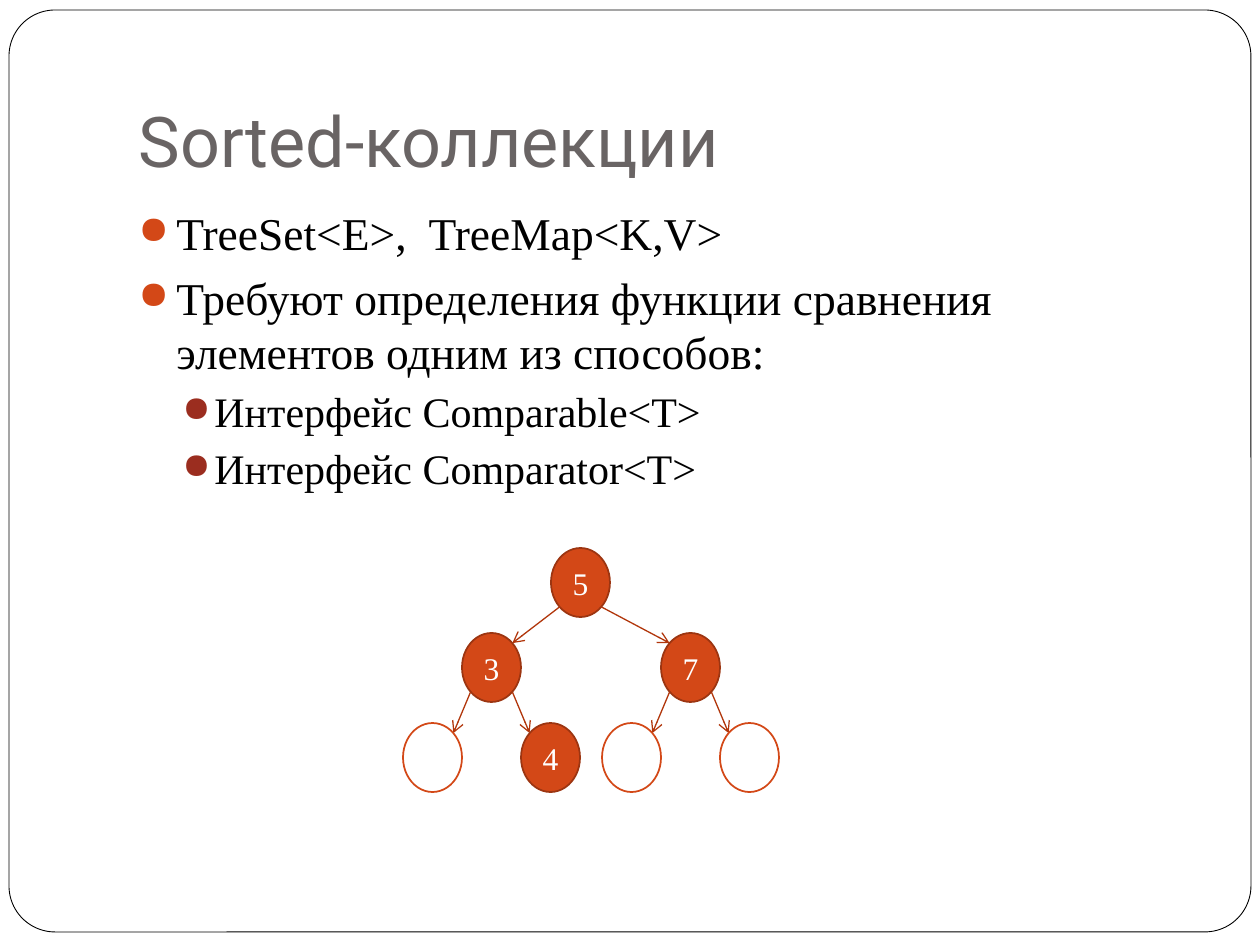
from dataclasses import dataclass
from math import sqrt
from lxml.etree import SubElement
from pptx import Presentation
from pptx.dml.color import RGBColor
from pptx.enum.shapes import MSO_CONNECTOR, MSO_SHAPE
from pptx.enum.text import MSO_ANCHOR, MSO_AUTO_SIZE, PP_ALIGN
from pptx.oxml.ns import qn
from pptx.util import Pt

SCALE = 914400 / 126


@dataclass(frozen=True)
class Theme:
    paper: str = "FFFFFF"
    ink: str = "000000"
    head: str = "696464"
    main: str = "D34817"
    edge: str = "9C3511"
    link: str = "B1360B"
    sub: str = "9B2D1F"
    sans: str = "Roboto"
    serif: str = "Times New Roman"
    title: int = 40
    body: tuple = (26, 24)
    node: int = 18


theme = Theme()
LEVELS = (
    {"left": 38, "hang": 38, "gap": 5.8, "tint": theme.main},
    {"left": 76, "hang": 32, "gap": 3.7, "tint": theme.sub},
)
POINTS = (
    (0, "TreeSet<E>,  TreeMap<K,V>"),
    (0, "Требуют определения функции сравнения элементов одним из способов:"),
    (1, "Интерфейс Comparable<T>"),
    (1, "Интерфейс Comparator<T>"),
)
TREE = ("5", (-89, ("3", (-59, ("", )), (59, ("4", )))),
        (110, ("7", (-59, ("", )), (59, ("", )))))
NODE = (59, 69)
RISES = (85, 90)


def emu(px):
    return round(px * SCALE)


def put(item, **values):
    for name, value in values.items():
        setattr(item, name, value)


def style(font, face, size, tint):
    put(font, name=face, size=Pt(size))
    font.color.rgb = RGBColor.from_string(tint)


def place(item, box):
    put(item, **dict(zip(("left", "top", "width", "height"), map(emu, box))))


def shape(slide, kind, box, fill, line, width):
    item = slide.shapes.add_shape(kind, *map(emu, box))
    item.shadow.inherit = False
    item.fill.solid()
    item.fill.fore_color.rgb = RGBColor.from_string(fill)
    item.line.color.rgb = RGBColor.from_string(line)
    item.line.width = Pt(width)
    return item


def frame(slide, box):
    item = shape(slide, MSO_SHAPE.ROUNDED_RECTANGLE, box, theme.paper, theme.ink, 0.5)
    item.adjustments[0] = 0.05
    slide.shapes.title.element.addprevious(item.element)


def header(slide, box):
    title = slide.shapes.title
    place(title, box)
    text = title.text_frame
    put(text, text="Sorted-коллекции", word_wrap=True, auto_size=MSO_AUTO_SIZE.NONE,
        vertical_anchor=MSO_ANCHOR.BOTTOM, margin_left=emu(13), margin_right=emu(13),
        margin_top=emu(6), margin_bottom=emu(13))
    para = text.paragraphs[0]
    para.alignment = PP_ALIGN.LEFT
    style(para.runs[0].font, theme.sans, theme.title, theme.head)


def bullet(para, left, hang, tint):
    props = para._p.get_or_add_pPr()
    props.set("marL", str(emu(left)))
    props.set("indent", str(-emu(hang)))
    SubElement(SubElement(props, qn("a:buClr")), qn("a:srgbClr"), val=tint)
    SubElement(props, qn("a:buSzPct"), val="85000")
    SubElement(props, qn("a:buChar"), char="●")


def points(slide, box):
    text = slide.shapes.add_textbox(*map(emu, box)).text_frame
    text.word_wrap = True
    for index, (level, words) in enumerate(POINTS):
        para = text.add_paragraph() if index else text.paragraphs[0]
        rule = LEVELS[level]
        put(para, level=level, space_before=Pt(rule["gap"]))
        bullet(para, rule["left"], rule["hang"], rule["tint"])
        run = para.add_run()
        run.text = words
        style(run.font, theme.serif, theme.body[level], theme.ink)


def arrow(slide, start, end):
    item = slide.shapes.add_connector(MSO_CONNECTOR.STRAIGHT, *map(emu, start + end))
    item.line.color.rgb = RGBColor.from_string(theme.link)
    item.line.width = Pt(0.75)
    SubElement(item.line._get_or_add_ln(), qn("a:tailEnd"), type="arrow")
    SubElement(item.element.spPr, qn("a:effectLst"))


def node(slide, box, words):
    fill, edge = (theme.main, theme.edge) if words else (theme.paper, theme.main)
    item = shape(slide, MSO_SHAPE.OVAL, box, fill, edge, 1)
    if words:
        text = item.text_frame
        put(text, text=words, vertical_anchor=MSO_ANCHOR.MIDDLE)
        para = text.paragraphs[0]
        para.alignment = PP_ALIGN.CENTER
        style(para.runs[0].font, theme.serif, theme.node, theme.paper)


def tree(slide, left, top, branch, depth=0):
    words, *kids = branch
    wide, high = NODE
    node(slide, (left, top, wide, high), words)
    dx, dy = wide / sqrt(8), high / sqrt(8)
    for shift, kid in kids:
        side = 1 if shift > 0 else -1
        x, y = left + shift, top + RISES[depth]
        arrow(slide, (left + wide / 2 + side * dx, top + high / 2 + dy),
              (x + wide / 2 - side * dx, y + high / 2 - dy))
        tree(slide, x, y, kid, depth + 1)


def build():
    deck = Presentation()
    put(deck, slide_width=emu(1260), slide_height=emu(945))
    slide = deck.slides.add_slide(deck.slide_layouts[5])
    frame(slide, (9, 10, 1242, 922))
    header(slide, (126, 38, 1071, 157))
    points(slide, (126, 199, 1071, 630))
    tree(slide, 551, 548, TREE)
    deck.save("out.pptx")


build()
